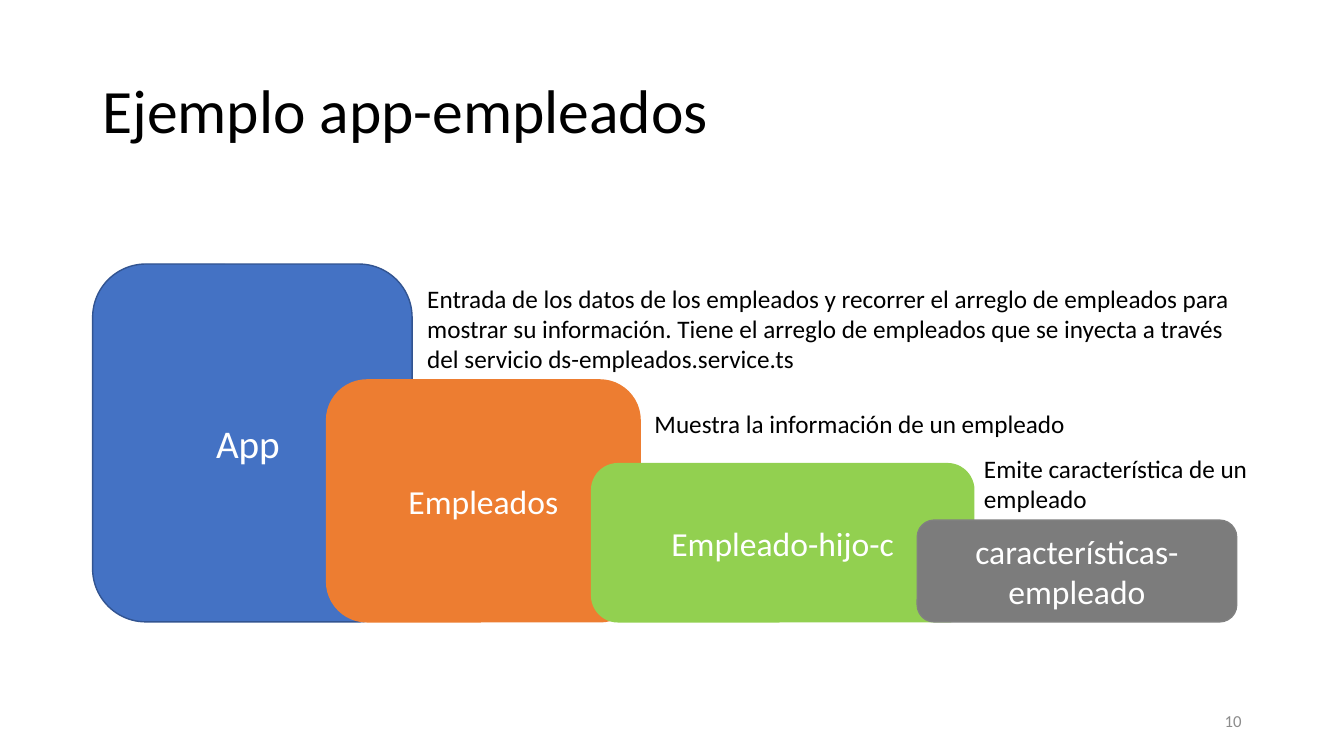
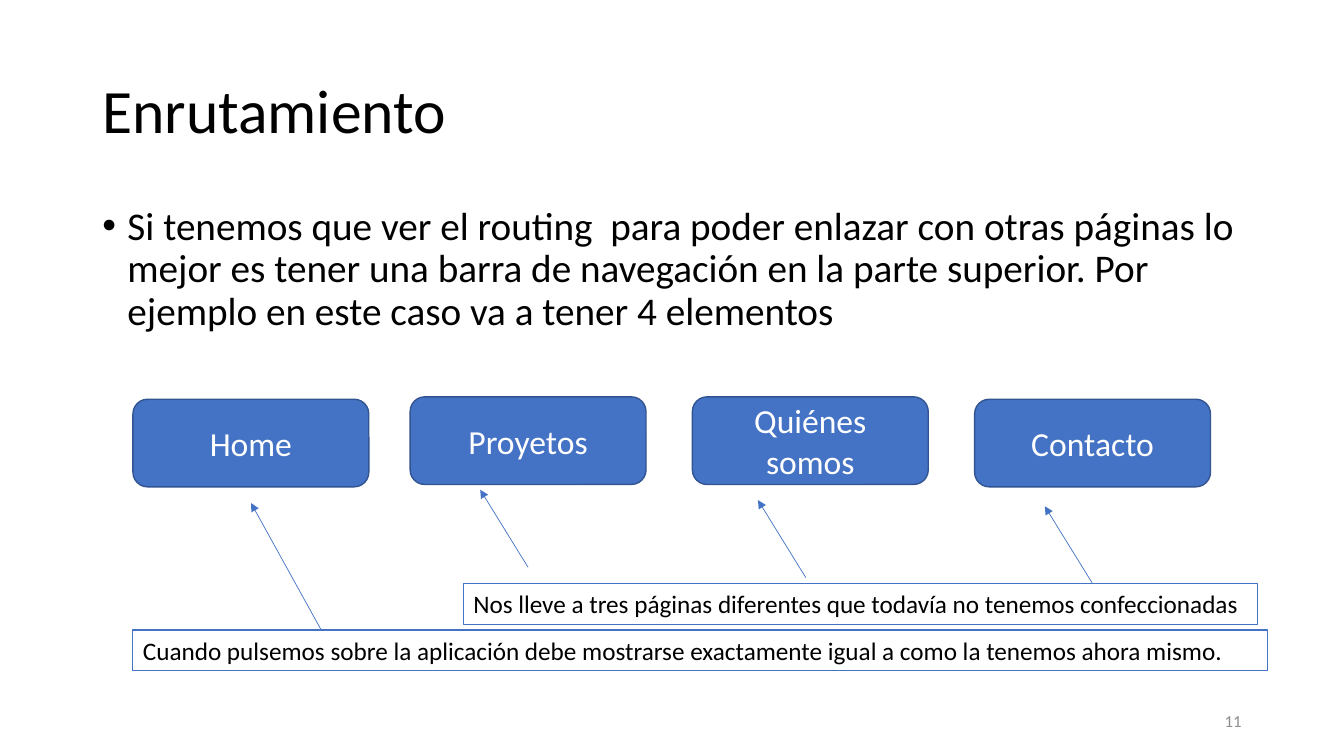
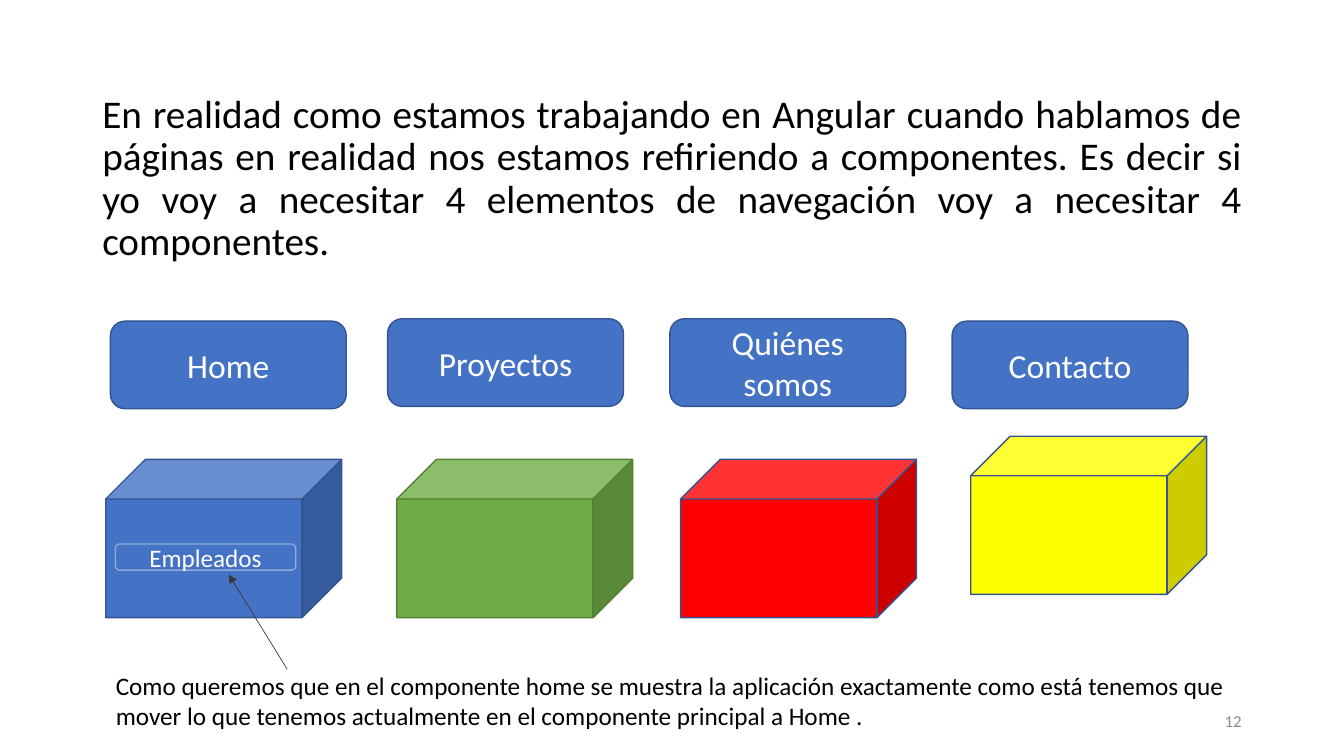
from lxml import etree
from pptx import Presentation
from pptx.dml.color import RGBColor
from pptx.enum import shapes as es, text as et
from pptx.oxml import ns
from pptx.util import Pt

BLUE = RGBColor(0x44, 0x72, 0xC4)
NAVY = RGBColor(0x32, 0x54, 0x91)
SKY = RGBColor(0x8F, 0xAA, 0xDC)
ORANGE = RGBColor(0xED, 0x7D, 0x31)
LIME = RGBColor(0x92, 0xD0, 0x50)
GREY = RGBColor(0x7C, 0x7C, 0x7C)
EDGE = RGBColor(0x80, 0x80, 0x80)
GREEN = RGBColor(0x70, 0xAD, 0x47)
MOSS = RGBColor(0x53, 0x80, 0x35)
RED = RGBColor(0xFF, 0x00, 0x00)
YELLOW = RGBColor(0xFF, 0xFF, 0x00)
DARK = RGBColor(0x3B, 0x38, 0x38)
PALE = RGBColor(0x8C, 0x8C, 0x8C)
BLACK = RGBColor(0x00, 0x00, 0x00)
WHITE = RGBColor(0xFF, 0xFF, 0xFF)

FONT = "Calibri"
KIND = es.MSO_SHAPE
SIDE = et.PP_ALIGN
MID = et.MSO_ANCHOR.MIDDLE
TOP = et.MSO_ANCHOR.TOP


def write(shape, words, size=18, color=BLACK, align=SIDE.LEFT, anchor=TOP,
          lead=None, space=None, dot=False):
    """Put formatted text into a shape."""
    frame = shape.text_frame
    frame.word_wrap = True
    frame.vertical_anchor = anchor
    para = frame.paragraphs[0]
    para.alignment = align
    if lead:
        para.line_spacing = lead
    if space:
        para.space_before = Pt(space)
    run = para.add_run()
    run.text = words
    run.font.name, run.font.size = FONT, Pt(size)
    run.font.color.rgb = color
    if dot:
        props = para._p.get_or_add_pPr()
        props.set("marL", str(Pt(18)))
        props.set("indent", str(Pt(-18)))
        etree.SubElement(props, ns.qn("a:buFont")).set("typeface", "Arial")
        etree.SubElement(props, ns.qn("a:buChar")).set("char", "•")


class Deck:
    """Hold the deck style and the current slide."""

    def __init__(self):
        """Open a wide deck."""
        self.pres = Presentation()
        self.pres.slide_width, self.pres.slide_height = Pt(960), Pt(540)

    def page(self, num, title=None):
        """Start a slide with its number and title."""
        self.slide = self.pres.slides.add_slide(self.pres.slide_layouts[6])
        if title:
            self.note(66, 28.8, 828, 104.4, title, size=44, anchor=MID, lead=0.9)
        self.note(678, 500.4, 216, 28.8, str(num), size=12, color=PALE,
                  align=SIDE.RIGHT, anchor=MID)

    def note(self, x, y, w, h, words, **style):
        """Add plain text."""
        box = self.slide.shapes.add_textbox(Pt(x), Pt(y), Pt(w), Pt(h))
        write(box, words, **style)

    def body(self, y, h, words, **style):
        """Add the main paragraph."""
        self.note(66, y, 828, h, words, size=28, lead=0.9, space=10, **style)

    def shape(self, kind, x, y, w, h, fill=BLUE, line=NAVY, width=1):
        """Add a preset shape."""
        item = self.slide.shapes.add_shape(kind, Pt(x), Pt(y), Pt(w), Pt(h))
        item.shadow.inherit = False
        if fill is None:
            item.fill.background()
        else:
            item.fill.solid()
            item.fill.fore_color.rgb = fill
        item.line.color.rgb = line
        item.line.width = Pt(width)
        return item

    def block(self, x, y, w, h, words, size=24, **look):
        """Add a round box with a label."""
        item = self.shape(KIND.ROUNDED_RECTANGLE, x, y, w, h, **look)
        write(item, words, size=size, color=WHITE, align=SIDE.CENTER, anchor=MID)

    def frame(self, x, y, w, words):
        """Add an outlined remark."""
        write(self.shape(KIND.RECTANGLE, x, y, w, 29, None, BLUE, 0.75), words)

    def cube(self, x, y, fill, line=NAVY):
        """Add a cube."""
        self.shape(KIND.CUBE, x, y, 168.5, 113, fill, line)

    def menu(self, x, y, names):
        """Add a row of menu buttons."""
        steps = ((0, 1.7), (198, 0), (399.6, 0), (601.2, 1.7))
        for (dx, dy), name in zip(steps, names):
            self.block(x + dx, y + dy, 168.5, 62.6, name)

    def arrow(self, x, y, dx, dy, color=BLUE):
        """Add an arrow from a point by an offset."""
        link = self.slide.shapes.add_connector(
            es.MSO_CONNECTOR.STRAIGHT, Pt(x), Pt(y), Pt(x + dx), Pt(y + dy))
        link.line.color.rgb = color
        link.line.width = Pt(0.5)
        props = link._element.spPr
        etree.SubElement(props.find(ns.qn("a:ln")), ns.qn("a:tailEnd")).set(
            "type", "triangle")
        etree.SubElement(props, ns.qn("a:effectLst"))


def staff(deck):
    """Build the slide of nested components."""
    deck.page(10, "Ejemplo app-empleados")
    foot = 444.2
    for x, y, w, words, size, fill, line in (
            (66.2, 188.6, 228.2, "App ", 28, BLUE, NAVY),
            (233.3, 271.4, 224, "Empleados", 24, ORANGE, ORANGE),
            (422.6, 331.2, 273, "Empleado-hijo-c", 24, LIME, LIME),
            (655.2, 371.5, 228.2, "características-empleado", 24, GREY, EDGE)):
        deck.block(x, y, w, foot - y, words, size, fill=fill, line=line)
    deck.note(298.1, 198.7, 600, 72.7,
              "Entrada de los datos de los empleados y recorrer el arreglo de "
              "empleados para mostrar su información. Tiene el arreglo de "
              "empleados que se inyecta a través del servicio "
              "ds-empleados.service.ts")
    deck.note(460.4, 288, 505.4, 29, "Muestra la información de un empleado")
    deck.note(695.8, 320.4, 224, 51, "Emite característica de un empleado")


def routes(deck):
    """Build the slide of menu routes."""
    deck.page(11, "Enrutamiento")
    deck.body(144, 342.7,
              "Si tenemos que ver el routing  para poder enlazar con otras "
              "páginas lo mejor es tener una barra de navegación en la parte "
              "superior. Por ejemplo en este caso va a tener 4 elementos",
              dot=True)
    deck.menu(95, 283.5, ("Home", "Proyetos", "Quiénes somos", "Contacto"))
    deck.arrow(229.7, 450.5, -50.4, -91.2)
    deck.frame(95, 450, 810.7,
               "Cuando pulsemos sobre la aplicación debe mostrarse exactamente "
               "igual a como la tenemos ahora mismo.")
    for x, y in ((377.2, 405.2), (575.6, 412.6), (780.5, 417)):
        deck.arrow(x, y, -34.2, -55.4)
    deck.frame(331, 416.9, 567.6,
               "Nos lleve a tres páginas diferentes que todavía no tenemos "
               "confeccionadas")


def parts(deck):
    """Build the slide of components as cubes."""
    deck.page(12)
    deck.body(64, 422.6,
              "En realidad como estamos trabajando en Angular cuando hablamos "
              "de páginas en realidad nos estamos refiriendo a componentes. Es "
              "decir si yo voy a necesitar 4 elementos de navegación voy a "
              "necesitar 4 componentes.", align=SIDE.JUSTIFY)
    deck.menu(78.9, 227.7, ("Home", "Proyectos", "Quiénes somos", "Contacto"))
    for x, y, fill, line in ((75.6, 328.2, BLUE, NAVY),
                             (283.5, 328.2, GREEN, MOSS),
                             (486.2, 328.2, RED, NAVY),
                             (693.4, 311.6, YELLOW, NAVY)):
        deck.cube(x, y, fill, line)
    deck.note(75.6, 475.2, 815, 51,
              "Como queremos que en el componente home se muestra la aplicación "
              "exactamente como está tenemos que mover lo que tenemos "
              "actualmente en el componente principal a Home .")
    deck.arrow(205.2, 478.1, -41.8, -67.7, DARK)
    deck.block(82.3, 388.6, 129, 18.7, "Empleados", 18, line=SKY)


def main():
    """Build and save the deck."""
    deck = Deck()
    for build in (staff, routes, parts):
        build(deck)
    deck.pres.save("out.pptx")


if __name__ == "__main__":
    main()
